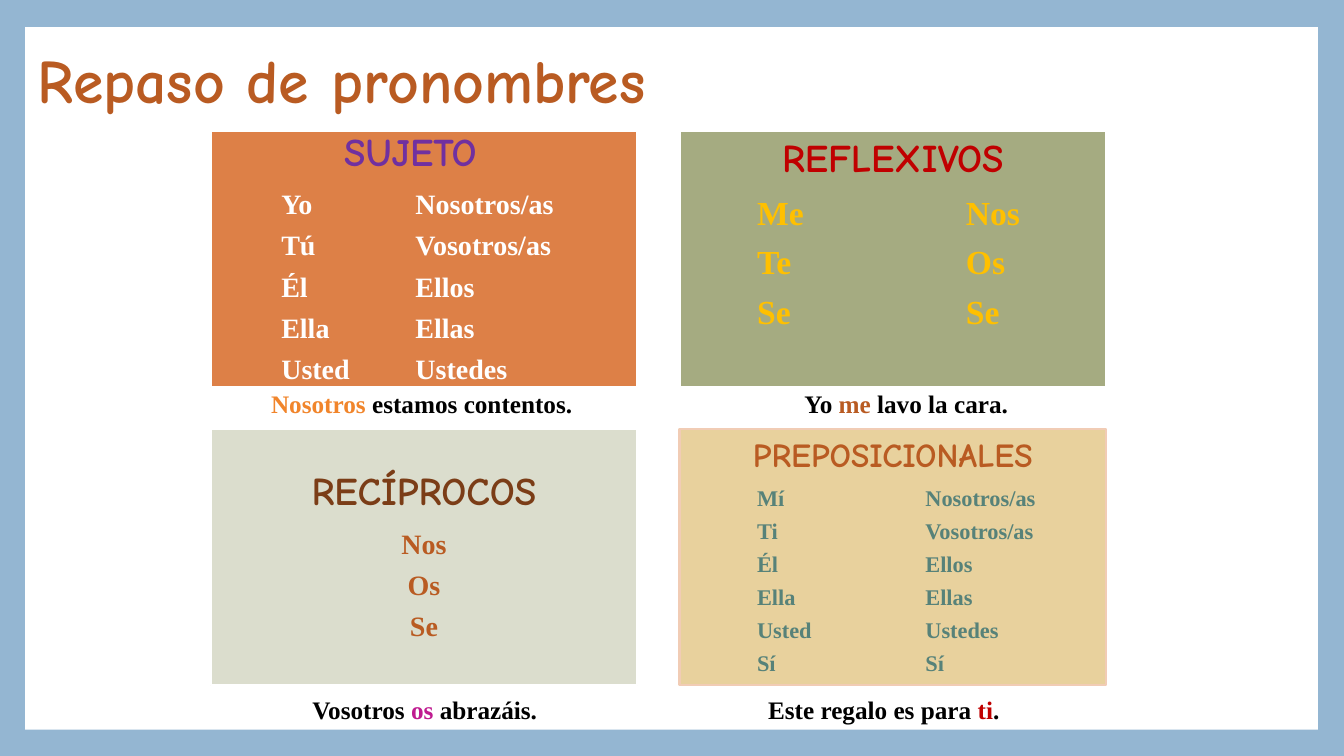
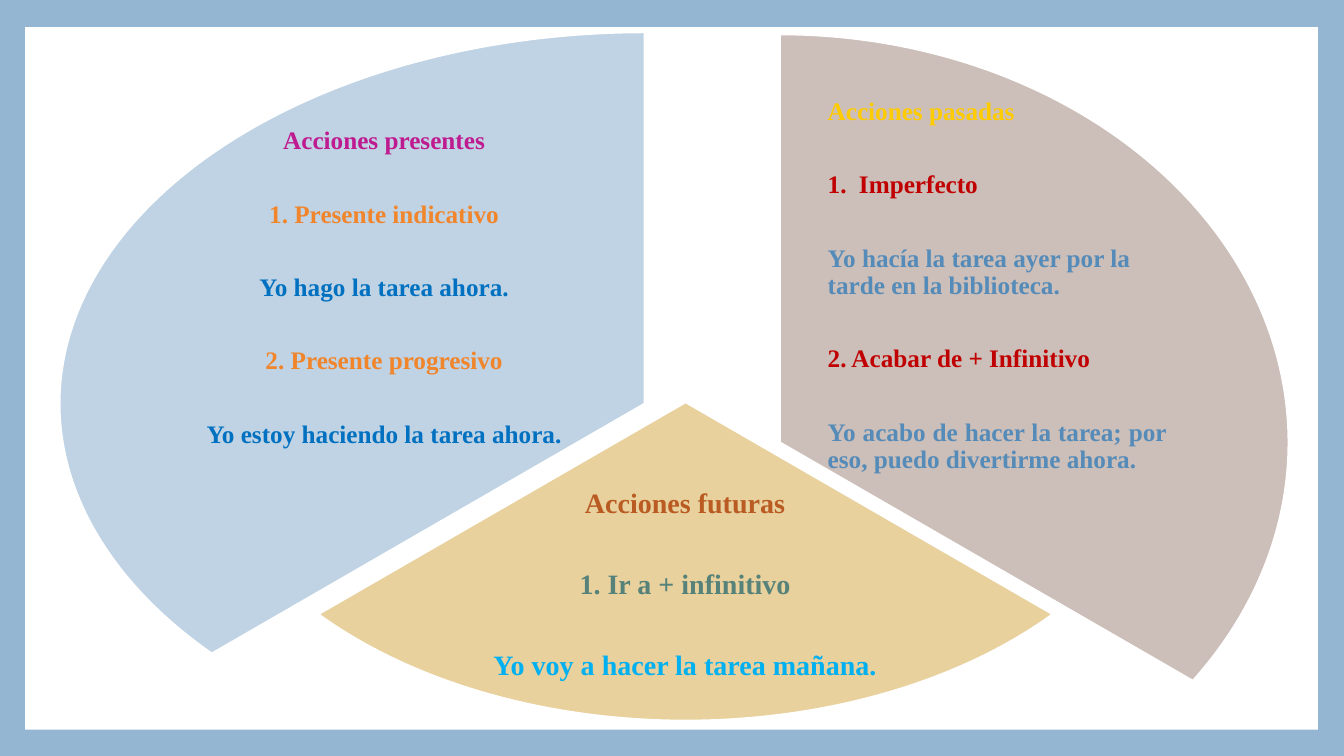
from dataclasses import dataclass

from lxml.etree import SubElement
from pptx import Presentation
from pptx.dml.color import RGBColor
from pptx.enum.shapes import MSO_SHAPE
from pptx.enum.text import MSO_ANCHOR, MSO_AUTO_SIZE, PP_ALIGN
from pptx.oxml.ns import qn
from pptx.util import Inches, Pt

FRAME_BLUE = "94B6D2"
WHITE = "FFFFFF"
BLACK = "000000"
RUST = "B95B22"
ORANGE = "F1852B"
MAGENTA = "BF1B90"
RED = "C00000"
TEAL = "578279"
SAND = "E8D19D"
DISPLAY_FONT = "Comic Neue"
BODY_FONT = "Times New Roman"
LIST_GAP = 0.394
WEDGE_GAP = 1.83


@dataclass
class Box:
    left: float
    top: float
    width: float
    height: float

    def emu(self):
        return [Inches(n) for n in (self.left, self.top, self.width, self.height)]


def rgb(value):
    return RGBColor.from_string(value)


def add_text(frame, text, size=18, color=BLACK, font=BODY_FONT, align=PP_ALIGN.LEFT,
             gap=0, line=0.9, stops=()):
    first = frame.paragraphs[0]
    para = first if not first.runs else frame.add_paragraph()
    if stops:
        tabs = SubElement(para._p.get_or_add_pPr(), qn("a:tabLst"))
        for position, kind in stops:
            SubElement(tabs, qn("a:tab"), pos=str(Inches(position)), algn=kind)
    para.alignment = align
    para.line_spacing = line
    para.space_before = Pt(0)
    para.space_after = Pt(size * gap)
    spans = [(text, color)] if isinstance(text, str) else text
    for words, span_color in spans:
        span = para.add_run()
        span.text = words
        span.font.name = font
        span.font.size = Pt(size)
        span.font.bold = True
        span.font.color.rgb = rgb(span_color)


def set_frame(frame, anchor, margins=(0, 0, 0, 0)):
    frame.word_wrap = True
    frame.auto_size = MSO_AUTO_SIZE.NONE
    frame.vertical_anchor = anchor
    (frame.margin_left, frame.margin_top,
     frame.margin_right, frame.margin_bottom) = [Inches(n) for n in margins]
    return frame


def add_shape(page, kind, box, fill, line=None):
    shape = page.shapes.add_shape(kind, *box.emu())
    shape.shadow.inherit = False
    shape.fill.solid()
    shape.fill.fore_color.rgb = rgb(fill)
    if line:
        shape.line.color.rgb = rgb(line)
        shape.line.width = Pt(1.5)
    else:
        shape.line.fill.background()
    return shape


def add_textbox(page, box, margins=(0, 0, 0, 0)):
    return set_frame(page.shapes.add_textbox(*box.emu()).text_frame,
                     MSO_ANCHOR.TOP, margins)


def style_master(deck, page):
    master = deck.slide_master
    master.background.fill.solid()
    master.background.fill.fore_color.rgb = rgb(FRAME_BLUE)
    sheet = add_shape(page, MSO_SHAPE.RECTANGLE, Box(0.25, 0.27, 12.82, 6.97), WHITE)
    master.shapes.element.insert(2, sheet._element)


def set_title(page, text, box):
    title = page.shapes.title
    title.left, title.top, title.width, title.height = box.emu()
    frame = set_frame(title.text_frame, MSO_ANCHOR.MIDDLE, (0.1, 0.05, 0.1, 0.05))
    add_text(frame, text, size=44, color=RUST, font=DISPLAY_FONT)


def add_panel(page, box, fill, heading, rows, size, color, heading_color,
              heading_size=28, columns=(), heading_center=None, margin=0,
              bottom=0, line=WHITE):
    shape = add_shape(page, MSO_SHAPE.RECTANGLE, box, fill, line)
    frame = set_frame(shape.text_frame, MSO_ANCHOR.MIDDLE, (margin, 0, margin, bottom))
    centered = heading_center is None
    add_text(frame, heading if centered else "\t" + heading, size=heading_size,
             color=heading_color, font=DISPLAY_FONT, gap=LIST_GAP,
             align=PP_ALIGN.CENTER if centered else PP_ALIGN.LEFT,
             stops=() if centered else [(heading_center, "ctr")])
    for row in rows:
        cells = "".join("\t" + cell for cell in row) if columns else row
        add_text(frame, cells, size=size, color=color, gap=LIST_GAP,
                 align=PP_ALIGN.LEFT if columns else PP_ALIGN.CENTER,
                 stops=[(column, "l") for column in columns])


def add_caption(page, left, top, spans):
    frame = add_textbox(page, Box(left, top, 3.4, 0.4), (0.1, 0.05, 0.1, 0.05))
    add_text(frame, spans, line=1.0)


def add_wedge(page, pie, angles, fill, text_box, lines, size=18, align=PP_ALIGN.CENTER):
    shape = add_shape(page, MSO_SHAPE.PIE, pie, fill, WHITE)
    for index, angle in enumerate(angles):
        shape.adjustments[index] = angle * 0.6
    frame = add_textbox(page, text_box)
    for text, color, *options in lines:
        extra = options[0] if options else {}
        add_text(frame, text, **{"size": size, "color": color, "align": align,
                                 "gap": WEDGE_GAP, **extra})


def build_pronouns(page):
    set_title(page, "Repaso de pronombres", Box(0.27, 0.38, 12.76, 0.89))
    left, right, top, bottom = 2.09, 6.74, 1.3, 4.26
    width, height = 4.23, 2.54
    people = [("Él", "Ellos"), ("Ella", "Ellas"), ("Usted", "Ustedes")]
    add_panel(page, Box(left, top, width, height), "DD8047", "SUJETO",
              [("Yo", "Nosotros/as"), ("Tú", "Vosotros/as")] + people,
              20, WHITE, "7030A0", columns=(0.62, 1.95), heading_center=1.9, margin=0.08)
    add_panel(page, Box(right, top, width, height), "A5AB81", "REFLEXIVOS",
              [("Me", "Nos"), ("Te", "Os"), ("Se", "Se")],
              24, "FFC000", RED, columns=(0.65, 2.72), margin=0.12, bottom=0.48)
    add_panel(page, Box(left, bottom, width, height), "DBDDCD", "RECÍPROCOS",
              ["Nos", "Os", "Se"], 20, RUST, "7B3D17", margin=0.12)
    add_panel(page, Box(right, bottom, width, height), SAND, "PREPOSICIONALES",
              [("Mí", "Nosotros/as"), ("Ti", "Vosotros/as")] + people + [("Sí", "Sí")],
              16, TEAL, RUST, heading_size=24, columns=(0.67, 2.34), margin=0.1,
              line="F1CCB5")
    upper, lower = top + height - 0.04, bottom + height + 0.04
    add_caption(page, 2.59, upper,
                [("Nosotros ", ORANGE), ("estamos contentos.", BLACK)])
    add_caption(page, 7.88, upper,
                [("Yo ", BLACK), ("me ", RUST), ("lavo la cara.", BLACK)])
    add_caption(page, 3, lower,
                [("Vosotros ", BLACK), ("os ", MAGENTA), ("abrazáis.", BLACK)])
    add_caption(page, 7.52, lower,
                [("Este regalo es para ", BLACK), ("ti", RED), (".", BLACK)])


def build_actions(page):
    sky, steel = "0070C0", "558BB8"
    add_wedge(page, Box(2.69, 0.34, 10.09, 8.1), (270, 30), "CCBEB8",
              Box(8.21, 0.98, 3.36, 3.9),
              [("Acciones pasadas", "FFCC00"),
               ("1.\tImperfecto", RED, {"stops": [(0.31, "l")]}),
               ("Yo hacía la tarea ayer por la tarde en la biblioteca.", steel),
               ("2. Acabar de + Infinitivo", RED),
               ("Yo acabo de hacer la tarea; por eso, puedo divertirme ahora.", steel,
                {"align": PP_ALIGN.JUSTIFY})],
              align=PP_ALIGN.LEFT)
    add_wedge(page, Box(1.92, 0.83, 9.76, 6.32), (30, 150), SAND,
              Box(4.59, 4.85, 4.41, 2),
              [("Acciones futuras", RUST),
               ("1. Ir a + infinitivo", TEAL),
               ("Yo voy a hacer la tarea mañana.", "00B0F0")],
              size=20)
    add_wedge(page, Box(0.59, 0.32, 11.61, 7.37), (150, 270), "BFD3E4",
              Box(1.84, 1.27, 3.94, 3.3),
              [("Acciones presentes", MAGENTA),
               ("1. Presente indicativo", ORANGE),
               ("Yo hago la tarea ahora.", sky),
               ("2. Presente progresivo", ORANGE),
               ("Yo estoy haciendo la tarea ahora.", sky)])


def main():
    deck = Presentation()
    deck.slide_width, deck.slide_height = Inches(13.33), Inches(7.5)
    pronouns = deck.slides.add_slide(deck.slide_layouts[5])
    style_master(deck, pronouns)
    build_pronouns(pronouns)
    build_actions(deck.slides.add_slide(deck.slide_layouts[6]))
    deck.save("out.pptx")


if __name__ == "__main__":
    main()
